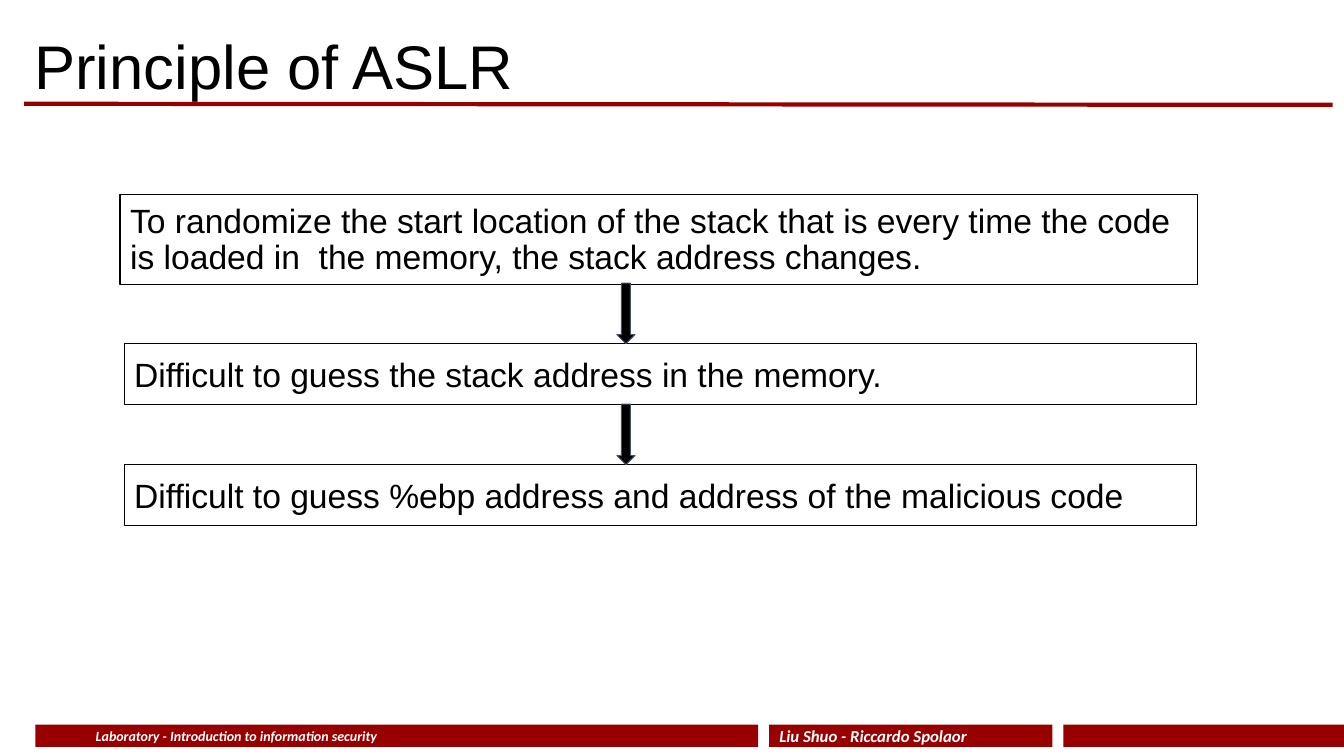
from pptx import Presentation
from pptx import util as u
from pptx.dml.color import RGBColor
from pptx.enum import shapes, text
from pptx.oxml.ns import qn
from lxml import etree

theme = {
    "red": RGBColor.from_string("980000"),
    "black": RGBColor.from_string("000000"),
    "white": RGBColor.from_string("FFFFFF"),
    "slate": RGBColor.from_string("44546A"),
    "body_font": "Arial",
    "footer_font": "Calibri",
    "title": 44,
    "step": 24,
    "authors": 12,
    "course": 10,
    "thin": 0.75,
    "rule": 3,
}

deck = Presentation()
deck.slide_width, deck.slide_height = u.Inches(13.33), u.Inches(7.5)
slide = deck.slides.add_slide(deck.slide_layouts[6])
column, row = deck.slide_width / 100, deck.slide_height / 100
inset = 0.75


def draw(kind, left, top, width, height, fill=None, outline=None):
    place = [int(v) for v in (left * column, top * row, width * column, height * row)]
    drawn = slide.shapes.add_shape(kind, *place)
    drawn.shadow.inherit = False
    if fill is None:
        drawn.fill.background()
    else:
        drawn.fill.solid()
        drawn.fill.fore_color.rgb = fill
    if outline is None:
        drawn.line.fill.background()
    else:
        drawn.line.color.rgb = outline
        drawn.line.width = u.Pt(theme["thin"])
    return drawn


def write(holder, wording, font, color, anchor=text.MSO_ANCHOR.MIDDLE,
          align=text.PP_ALIGN.LEFT, spacing=1.0, right=inset):
    frame = holder.text_frame
    margins = {"margin_left": inset, "margin_top": inset,
               "margin_right": right, "margin_bottom": inset}
    for side, share in margins.items():
        setattr(frame, side, int(share * column))
    frame.word_wrap = True
    frame.vertical_anchor = anchor
    line = frame.paragraphs[0]
    line.alignment = align
    line.line_spacing = spacing
    run = line.add_run()
    run.text = wording
    for name, value in font.items():
        setattr(run.font, name, value)
    run.font.color.rgb = color


rect = shapes.MSO_SHAPE.RECTANGLE
footer_top, footer_height = 95.87, 2.93
page_band, course_band, author_band = [
    draw(rect, left, footer_top, width, footer_height, theme["red"])
    for left, width in ((79.13, 20.87), (2.63, 53.78), (57.23, 21.08))
]
footer_style = {"name": theme["footer_font"], "bold": True, "italic": True}
write(author_band, "Liu Shuo - Riccardo Spolaor",
      {**footer_style, "size": u.Pt(theme["authors"])}, theme["white"])

course = slide.shapes.add_textbox(
    int(inset * column), int(footer_top * row), int(29.25 * column), int(footer_height * row))
write(course, "Laboratory - Introduction to information security",
      {**footer_style, "size": u.Pt(theme["course"])}, theme["white"],
      align=text.PP_ALIGN.RIGHT, right=1.95)

title_rule = slide.shapes.add_connector(
    shapes.MSO_CONNECTOR.STRAIGHT,
    int(99.15 * column), int(13.87 * row), int(1.8 * column), int(13.73 * row))
title_rule.line.color.rgb = theme["red"]
title_rule.line.width = u.Pt(theme["rule"])
etree.SubElement(title_rule._element.spPr, qn("a:effectLst"))

title = slide.shapes.add_textbox(
    int(1.8 * column), int(4.67 * row), int(86.25 * column), int(8.93 * row))
write(title, "Principle of ASLR",
      {"name": theme["body_font"], "size": u.Pt(theme["title"])}, theme["black"], spacing=0.9)

pitch, first_arrow = 8, 37.47
steps = [
    ("To randomize the start location of the stack that is every time the code "
     "is loaded in  the memory, the stack address changes.",
     8.93, 25.73, 80.18, 11.87, 0.9),
    ("Difficult to guess the stack address in the memory.",
     9.23, first_arrow + pitch, 79.8, pitch, 1.0),
    ("Difficult to guess %ebp address and address of the malicious code",
     9.23, first_arrow + 3 * pitch, 79.8, pitch, 1.0),
]
for wording, left, top, width, height, spacing in steps:
    step = draw(rect, left, top, width, height, outline=theme["black"])
    write(step, wording, {"name": theme["body_font"], "size": u.Pt(theme["step"])},
          theme["black"], anchor=text.MSO_ANCHOR.TOP, spacing=spacing)

for level in range(len(steps) - 1):
    draw(shapes.MSO_SHAPE.DOWN_ARROW, 45.9, first_arrow + 2 * level * pitch,
         1.35, pitch, theme["black"], theme["slate"])

deck.save("out.pptx")
